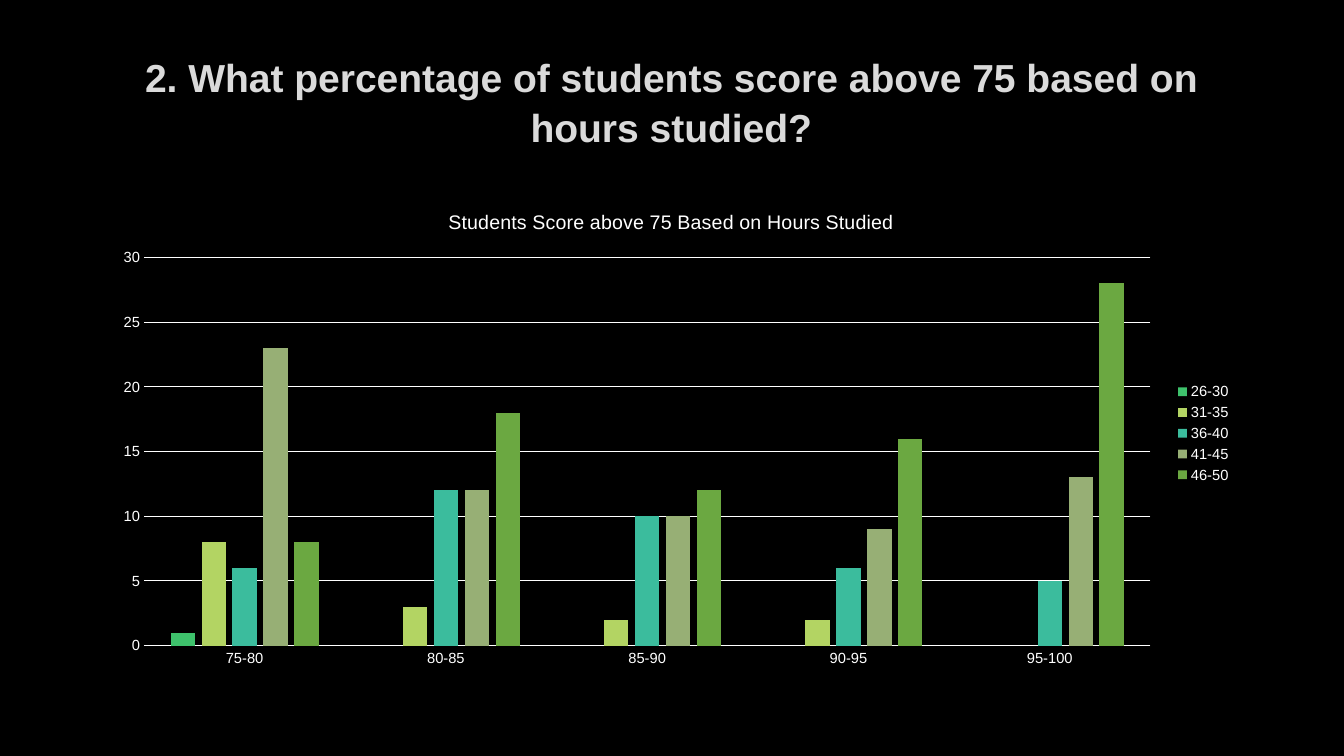
"""Build a slide with a column chart of student scores by hours studied."""
import pptx
import pptx.chart.data
import pptx.dml.color
import pptx.enum.chart
import pptx.enum.text
import pptx.util

Pt = pptx.util.Pt
kinds = pptx.enum.chart
COLORS = {
    "back": "000000", "title": "DADADA", "text": "FFFFFF",
    "26-30": "3EC26C", "31-35": "B3D463", "36-40": "3BBC9D",
    "41-45": "97AF75", "46-50": "6BA841",
}
SCORES = ["75-80", "80-85", "85-90", "90-95", "95-100"]
HOURS = {
    "26-30": [1, None, None, None, None],
    "31-35": [8, 3, 2, 2, None],
    "36-40": [6, 12, 10, 6, 5],
    "41-45": [23, 12, 10, 9, 13],
    "46-50": [8, 18, 12, 16, 28],
}


def color(name):
    return pptx.dml.color.RGBColor.from_string(COLORS[name])


def style(font, size, name="text", bold=False):
    font.name = "Arial"
    font.size = Pt(size)
    font.bold = bold
    font.color.rgb = color(name)


deck = pptx.Presentation()
deck.slide_width, deck.slide_height = Pt(960), Pt(540)
slide = deck.slides.add_slide(deck.slide_layouts[6])
slide.background.fill.solid()
slide.background.fill.fore_color.rgb = color("back")

left, width = Pt(72), Pt(815)
frame = slide.shapes.add_textbox(left, Pt(34), width, Pt(76)).text_frame
frame.word_wrap = True
frame.vertical_anchor = pptx.enum.text.MSO_ANCHOR.MIDDLE
para = frame.paragraphs[0]
para.alignment = pptx.enum.text.PP_ALIGN.CENTER
para.line_spacing = 1.05
run = para.add_run()
run.text = "2. What percentage of students score above 75 based on hours studied?"
style(run.font, 27.9, "title", True)

data = pptx.chart.data.CategoryChartData()
data.categories = SCORES
for name, values in HOURS.items():
    data.add_series(name, values)
chart = slide.shapes.add_chart(
    kinds.XL_CHART_TYPE.COLUMN_CLUSTERED, left, Pt(136), width, Pt(347), data
).chart
style(chart.font, 10)

chart.has_title = True
run = chart.chart_title.text_frame.paragraphs[0].add_run()
run.text = "Students Score above 75 Based on Hours Studied"
style(run.font, 14)
chart.chart_title.include_in_layout = False

chart.has_legend = True
chart.legend.position = kinds.XL_LEGEND_POSITION.RIGHT
chart.legend.include_in_layout = False
style(chart.legend.font, 10.5)

for axis in (chart.category_axis, chart.value_axis):
    axis.major_tick_mark = kinds.XL_TICK_MARK.NONE
    axis.minor_tick_mark = kinds.XL_TICK_MARK.NONE
    style(axis.tick_labels.font, 10.5)
chart.value_axis.has_major_gridlines = True
chart.value_axis.format.line.fill.background()
for part in (chart.category_axis, chart.value_axis.major_gridlines):
    part.format.line.color.rgb = color("text")
    part.format.line.width = Pt(0.75)

plot = chart.plots[0]
plot.gap_width = 219
plot.overlap = -27
plot.vary_by_categories = False
for series in plot.series:
    series.format.fill.solid()
    series.format.fill.fore_color.rgb = color(series.name)

deck.save("out.pptx")
